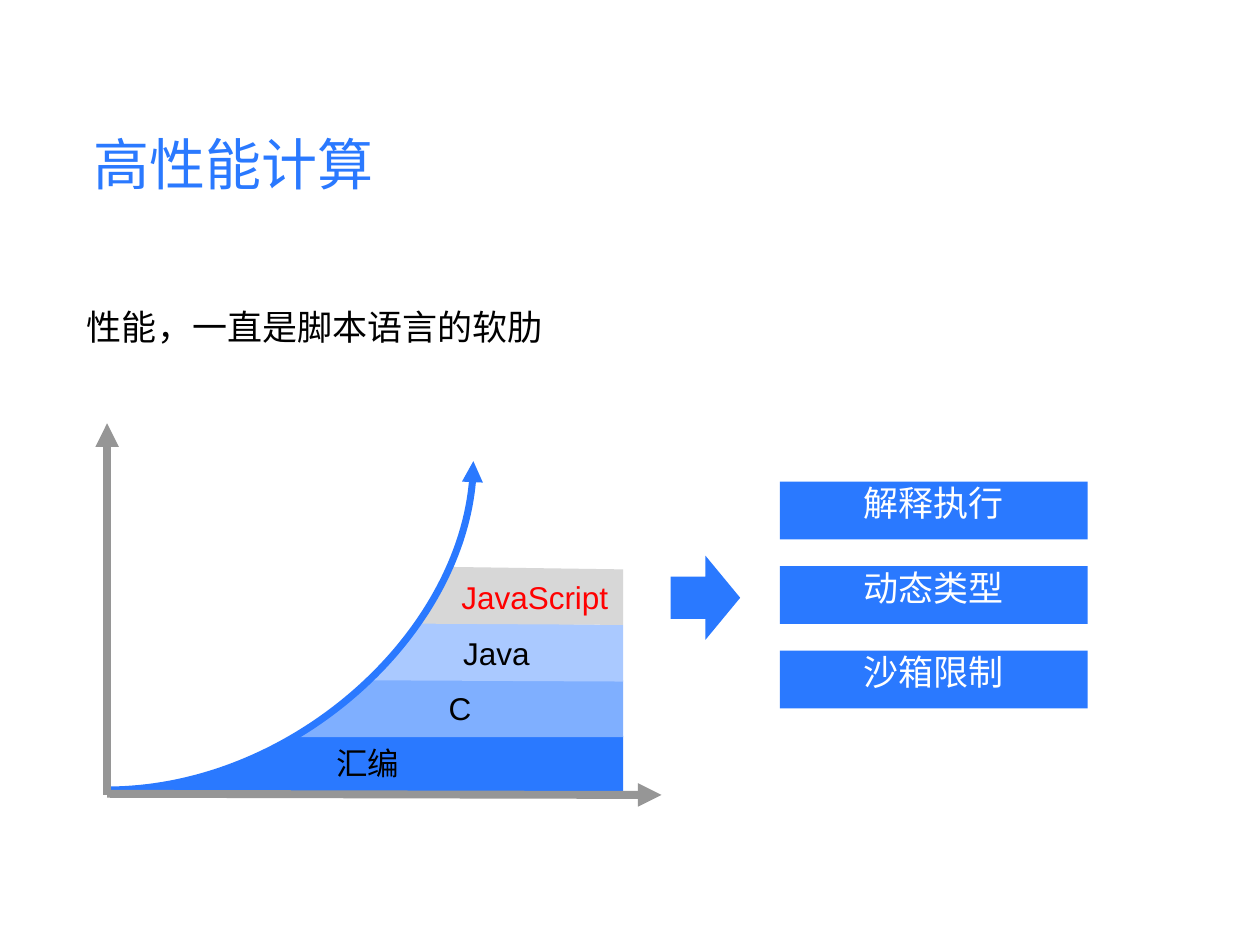
from pptx import Presentation
from pptx.dml.color import RGBColor
from pptx.enum.shapes import MSO_CONNECTOR as Link, MSO_SHAPE as Kind
from pptx.enum.text import MSO_ANCHOR as Anchor, MSO_AUTO_SIZE as Auto, PP_ALIGN as Align
from pptx.oxml.ns import qn
from pptx.util import Pt
from lxml.etree import SubElement as sub

BLUE, GREY, BLACK, WHITE, RED = "2A79FF", "969696", "000000", "FFFFFF", "FF0000"
CJK, LATIN = "Noto Sans CJK SC", "Arial"


def color(code):
    return RGBColor.from_string(code)


def apply(obj, values):
    for name, value in values.items():
        setattr(obj, name, value)


class Page:
    def __init__(self, deck):
        self.slide = deck.slides.add_slide(deck.slide_layouts[1])
        self.shapes = self.slide.shapes

    def letter(self, shape, text, size, ink, font=CJK, inset=0,
               anchor=Anchor.TOP, align=Align.CENTER, space=1):
        frame = shape.text_frame
        edges = ("left", "top", "right", "bottom")
        apply(frame, {f"margin_{edge}": Pt(inset) for edge in edges})
        apply(frame, dict(word_wrap=True, auto_size=Auto.NONE, vertical_anchor=anchor))
        para = frame.paragraphs[0]
        apply(para, dict(alignment=align, line_spacing=space, space_before=Pt(0)))
        run = para.add_run()
        run.text = text
        apply(run.font, dict(name=font, size=Pt(size)))
        run.font.color.rgb = color(ink)
        sub(run._r.get_or_add_rPr(), qn("a:ea"), typeface=font)

    def holder(self, index, box, text, **style):
        shape = self.slide.placeholders[index]
        apply(shape, dict(zip(("left", "top", "width", "height"), map(Pt, box))))
        self.letter(shape, text, align=Align.LEFT, **style)
        return shape

    def label(self, box, text, **style):
        shape = self.shapes.add_textbox(*map(Pt, box))
        self.letter(shape, text, inset=3.6, anchor=Anchor.MIDDLE, **style)

    def paint(self, shape, fill):
        shape.shadow.inherit = False
        shape.fill.solid()
        shape.fill.fore_color.rgb = color(fill)
        shape.line.fill.background()

    def block(self, kind, box, fill=BLUE):
        shape = self.shapes.add_shape(kind, *map(Pt, box))
        self.paint(shape, fill)
        return shape

    def outline(self, points, close):
        first, *rest = [(Pt(x), Pt(y)) for x, y in points]
        pen = self.shapes.build_freeform(*first)
        pen.add_line_segments(rest, close=close)
        return pen.convert_to_shape()

    def area(self, points, fill):
        self.paint(self.outline(points, True), fill)

    def arrow(self, line, ink, width):
        line.color.rgb = color(ink)
        line.width = Pt(width)
        sub(line._get_or_add_ln(), qn("a:tailEnd"), type="triangle")

    def axis(self, start, end):
        link = self.shapes.add_connector(Link.STRAIGHT, *map(Pt, start + end))
        self.arrow(link.line, GREY, 4.5)
        sub(link._element.spPr, qn("a:effectLst"))

    def curve(self, points):
        shape = self.outline(points, False)
        shape.shadow.inherit = False
        shape.fill.background()
        # Turn the three straight steps into one Bezier step
        track = next(shape._element.iter(qn("a:path")))
        bend = sub(track, qn("a:cubicBezTo"))
        for step in track.findall(qn("a:lnTo")):
            bend.append(step[0])
            track.remove(step)
        self.arrow(shape.line, BLUE, 4)


def main():
    deck = Presentation()
    apply(deck, dict(slide_width=Pt(720), slide_height=Pt(540)))
    page = Page(deck)

    # Title and lead line
    page.holder(0, (49.7, 70.6, 282, 49), "高性能计算", size=32, ink=BLUE, inset=3.6)
    lead = page.holder(1, (49.7, 155.5, 620.6, 33), "性能，一直是脚本语言的软肋",
                       size=20, ink=BLACK, space=1.8)
    props = lead.text_frame.paragraphs[0]._p.get_or_add_pPr()
    for name in ("marL", "indent"):
        props.set(name, "0")
    sub(props, qn("a:buNone"))

    # Language layers: left edge, right top and bottom, fill, label
    right = 356
    layers = [
        ([(64.8, 452.2), (84.2, 450), (98.6, 447.8), (113.8, 444.2), (133.2, 437.8),
          (151.2, 429.1), (167.8, 420.5)], 420.5, 452.2, BLUE,
         (64.8, 420.5, 291, 31), "汇编", CJK, BLACK),
        ([(169.9, 421.2), (181.4, 411.8), (189.4, 406.1), (199.4, 398.2), (211, 388.1)],
         388.8, 421.2, "7FAFFF", (169.9, 391, 186, 27.4), "C", LATIN, BLACK),
        ([(211.7, 388.8), (218.9, 381.6), (224.6, 374.4), (231.8, 366.5), (239.8, 355.7)],
         357.1, 389.5, "AAC9FF", (211.7, 359.3, 144, 27.4), "Java", LATIN, BLACK),
        ([(239.8, 356.4), (244.8, 349.2), (249.1, 342), (253.4, 334.8), (258.5, 324)],
         325.4, 357.1, "D7D7D7", (257, 327.6, 97.2, 27.4), "JavaScript", LATIN, RED),
    ]
    for edge, top, base, fill, box, text, font, ink in layers:
        page.area(edge + [(right, top), (right, base)], fill)
        page.label(box, text, size=18, ink=ink, font=font)

    # Growth curve and axes
    page.curve([(61.2, 451.4), (165.6, 451.4), (270.5, 357.8), (270.5, 263.5)])
    page.axis((61.2, 453.6), (378, 454.3))
    page.axis((61.2, 454.3), (61.2, 241.9))

    # Causes
    page.block(Kind.RIGHT_ARROW, (383.2, 317.5, 39.8, 48.2))
    for row, text in enumerate(("解释执行", "动态类型", "沙箱限制")):
        card = page.block(Kind.RECTANGLE, (445.7, 275.2 + 48.3 * row, 175.8, 33.1))
        page.letter(card, text, size=20, ink=WHITE)

    deck.save("out.pptx")


if __name__ == "__main__":
    main()
